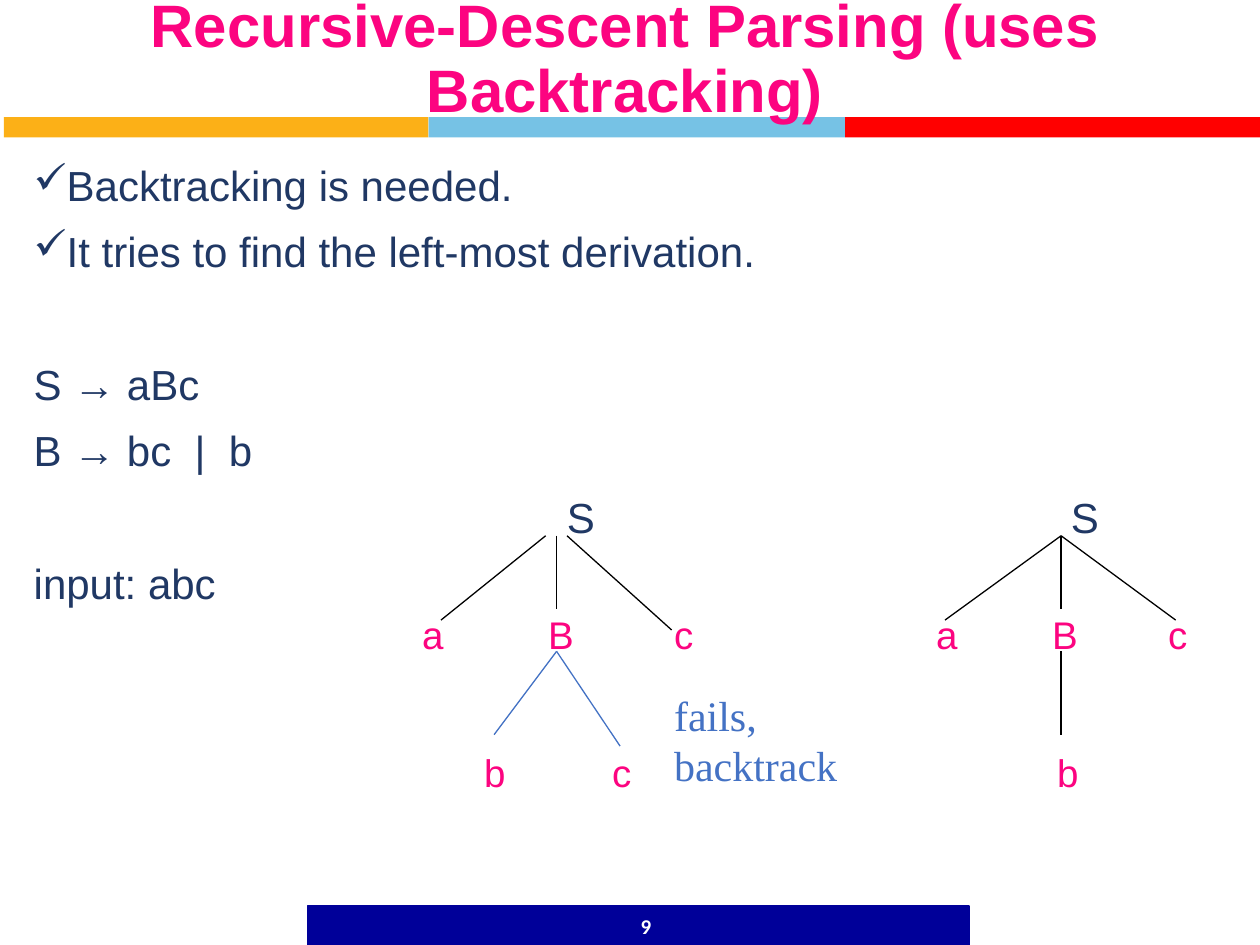
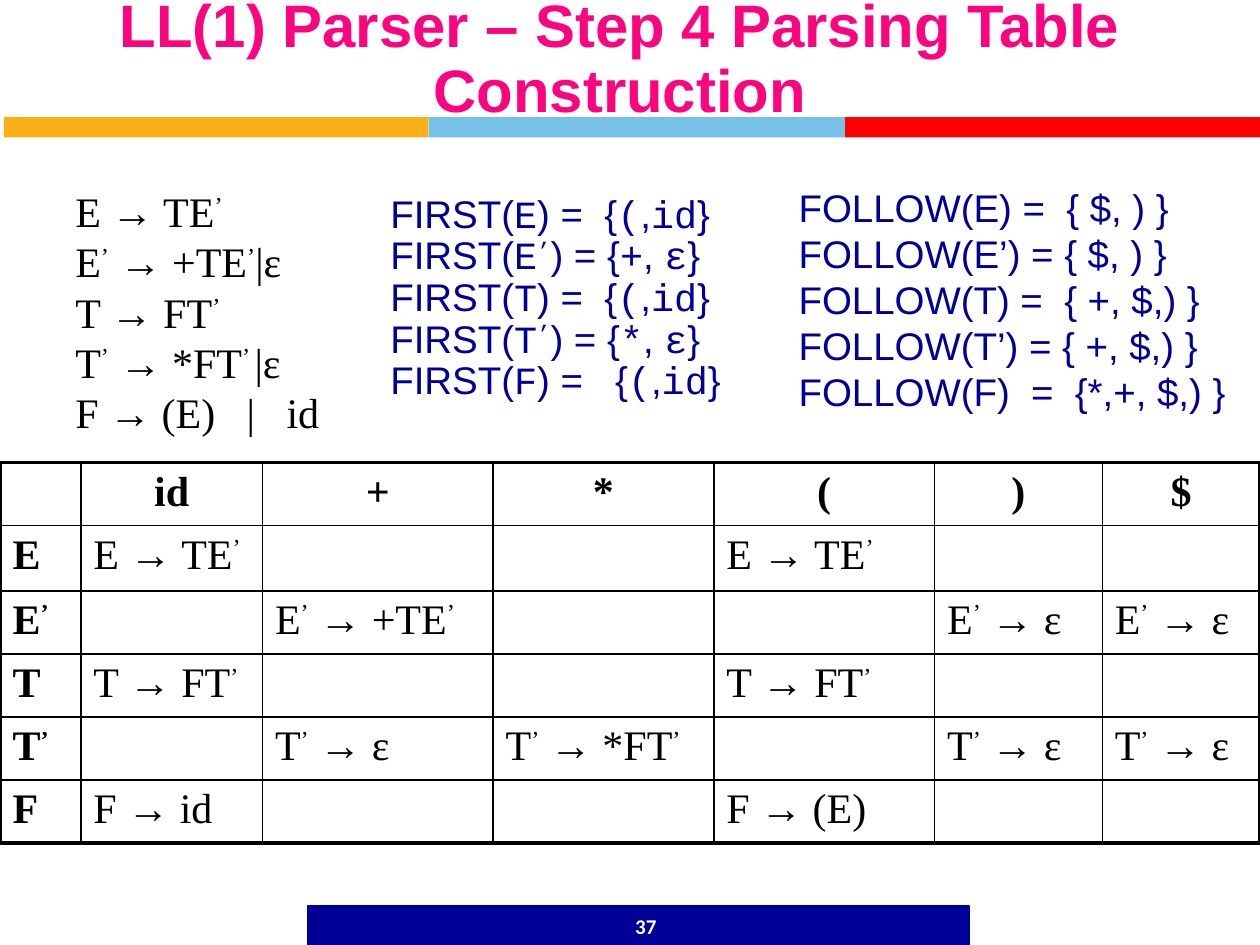
from dataclasses import dataclass
from lxml import etree
from pptx import Presentation
from pptx import util as u
from pptx.dml.color import RGBColor
from pptx.enum import shapes, text
from pptx.oxml.ns import qn

Cm, Pt = u.Cm, u.Pt
MID, JUST = text.PP_ALIGN.CENTER, text.PP_ALIGN.JUSTIFY


@dataclass(frozen=True)
class Theme:
    pink: str = "FC0480"
    navy: str = "000099"
    ink: str = "203864"
    blue: str = "4472C4"
    black: str = "000000"
    white: str = "FFFFFF"
    bands: tuple = ("FCB017", "76C2E5", "FF0000")
    sans: str = "Arial"
    serif: str = "Times New Roman"
    mono: str = "Courier New"
    foot: str = "Calibri"
    head: float = 34.2
    large: float = 24
    mid: float = 22
    small: float = 12


T = Theme()


def rgb(code):
    return RGBColor.from_string(code)


def sub(parent, tag, **attrs):
    return etree.SubElement(parent, qn(tag), attrs)


def write(frame, lines, size=T.large, font=T.sans, color=T.black, bold=False,
          align=None, lead=None, gap=None):
    """Fill a frame; ^ switches raised text on and off, ` switches code font."""
    for i, line in enumerate(lines):
        para = frame.paragraphs[0] if i == 0 else frame.add_paragraph()
        para.alignment, para.line_spacing = align, lead
        if gap is not None:
            para.space_before = para.space_after = Pt(gap)
        raised = code = False
        for part in line.replace("^", "\0^\0").replace("`", "\0`\0").split("\0"):
            if part == "^":
                raised = not raised
            elif part == "`":
                code = not code
            elif part:
                run = para.add_run()
                run.text = part
                look = run.font
                look.size, look.bold = Pt(size), bold
                look.name = T.mono if code else font
                look.color.rgb = rgb(color)
                if raised:
                    run._r.get_or_add_rPr().set("baseline", "30000")


class Deck:
    def __init__(self):
        self.prs = Presentation()
        self.prs.slide_width, self.prs.slide_height = Cm(25.4), Cm(19.05)
        self.slide = None

    def page(self, title, number, left):
        """Start a slide with its bands, footer and title."""
        self.slide = self.prs.slides.add_slide(self.prs.slide_layouts[6])
        edges = (0.08, 8.64, 17.04, 25.4)
        for start, end, color in zip(edges, edges[1:], T.bands):
            self.rect(start, 2.36, end - start, 0.41, color)
        self.rect(6.2, 18.26, 13.34, 0.79, T.navy, line=True)
        self.text([title], left, -0.2, 24.33, 1.7, size=T.head, color=T.pink,
                  bold=True, align=MID, lead=0.9)
        frame = self.text([number], 10.16, 18.16, 5.72, 1.02, size=T.small,
                          font=T.foot, color=T.white, bold=True, align=MID)
        frame.vertical_anchor = text.MSO_ANCHOR.MIDDLE

    def rect(self, x, y, w, h, color, line=False):
        box = self.slide.shapes.add_shape(
            shapes.MSO_SHAPE.RECTANGLE, Cm(x), Cm(y), Cm(w), Cm(h))
        box.shadow.inherit = False
        box.fill.solid()
        box.fill.fore_color.rgb = rgb(color)
        if line:
            box.line.color.rgb, box.line.width = rgb(color), Pt(1)
        else:
            box.line.fill.background()

    def text(self, lines, x, y, w, h, wrap=True, **style):
        box = self.slide.shapes.add_textbox(Cm(x), Cm(y), Cm(w), Cm(h))
        box.text_frame.word_wrap = wrap
        write(box.text_frame, lines, **style)
        return box.text_frame

    def label(self, word, x, y, **style):
        frame = self.text([word], x, y, 0.8, 1, wrap=False, **style)
        frame.margin_left = frame.margin_right = 0
        frame.margin_top = frame.margin_bottom = 0

    def line(self, start, end, color=T.black):
        rule = self.slide.shapes.add_connector(
            shapes.MSO_CONNECTOR.STRAIGHT, *map(Cm, start + end))
        rule.line.color.rgb, rule.line.width = rgb(color), Pt(0.75)
        sub(rule._element.spPr, "a:effectLst")

    def bullet(self, para, mark):
        props = para._p.get_or_add_pPr()
        props.set("marL", str(Cm(0.64)))
        props.set("indent", str(-Cm(0.64)))
        sub(props, "a:buChar", char=mark)

    def border(self, cell, sides):
        props = cell._tc.get_or_add_tcPr()
        for side, outer in zip("LRTB", sides):
            edge = sub(props, f"a:ln{side}", w=str(Pt(2.25 if outer else 1)))
            sub(sub(edge, "a:solidFill"), "a:srgbClr", val=T.black)

    def table(self, rows, x, y, widths, heights):
        nr, nc = len(rows), len(widths)
        grid = self.slide.shapes.add_table(
            nr, nc, Cm(x), Cm(y), Cm(sum(widths)), Cm(sum(heights))).table
        grid.first_row = grid.horz_banding = False
        for col, width in zip(grid.columns, widths):
            col.width = Cm(width)
        for row, height in zip(grid.rows, heights):
            row.height = Cm(height)
        for r, row in enumerate(rows):
            for c, word in enumerate(row):
                cell = grid.cell(r, c)
                self.border(cell, (c == 0, c == nc - 1, r == 0, r == nr - 1))
                cell.fill.background()
                write(cell.text_frame, [word], font=T.serif,
                      bold=r == 0 or c == 0, align=None if r else MID)


def descent(deck):
    deck.page("Recursive-Descent Parsing (uses Backtracking)", "9", 0.43)

    # Notes and grammar
    frame = deck.text(
        ["Backtracking is needed.", "It tries to find the left-most derivation.",
         "S → aBc", "B → bc  |  b", "input: abc"],
        0.43, 3.2, 24.33, 13.94, color=T.ink, align=JUST, lead=0.9, gap=6)
    paras = frame.paragraphs
    for para in paras[:2]:
        deck.bullet(para, "✓")
    for para in (paras[2], paras[4]):
        para.space_before = Pt(44)

    # Branches of both trees
    top, knee = 10.8, 13.13
    for start, end in (((11, top), (8.89, 12.5)), ((11.43, top), (13.54, 12.7)),
                       ((11.22, top), (11.22, 12.27)),
                       ((21.39, top), (19.05, 12.5)), ((21.39, top), (23.7, 12.5)),
                       ((21.39, top), (21.39, 12.27)),
                       ((21.39, knee), (21.39, 14.81))):
        deck.line(start, end)
    for end in ((9.96, 14.81), (12.5, 15.04)):
        deck.line((11.22, knee), end, T.blue)

    # Nodes of both trees, level by level
    for x in (11.43, 21.59):
        deck.label("S", x, 9.91, color=T.ink)
    levels = ((12.32, "aBcaBc", (8.51, 11.05, 13.59, 18.87, 21.21, 23.55)),
              (15.11, "bcb", (9.76, 12.34, 21.31)))
    for y, names, places in levels:
        for name, x in zip(names, places):
            deck.label(name, x, y, size=T.mid, color=T.pink)
    deck.text(["fails, backtrack"], 13.34, 13.77, 5.66, 1.27, wrap=False,
              font=T.serif, color=T.blue)


def parser(deck):
    deck.page("LL(1) Parser – Step 4 Parsing Table Construction", "37", 0.33)

    # Grammar
    deck.text(["E → TE^’^", "E^’^ → +TE^’^|ε", "T → FT^’^",
               "T^’^ → *FT^’ ^|ε", "F → (E)   |   id"],
              1.27, 3.61, 5.64, 5.38, wrap=False, font=T.serif)

    # Parsing table
    ete, tft = "E → TE^’^", "T → FT^’^"
    enil, tnil = "E^’^ → ε", "T^’^ → ε"
    rows = [["", "id", "+", "*", "(", ")", "$"],
            ["E", ete, "", "", ete, "", ""],
            ["E^’^", "", "E^’^ → +TE^’^", "", "", enil, enil],
            ["T", tft, "", "", tft, "", ""],
            ["T^’^", "", tnil, "T^’^ → *FT^’^", "", tnil, tnil],
            ["F", "F → id", "", "", "F → (E)", "", ""]]
    deck.table(rows, 0, 9.32, (1.63, 3.66, 4.65, 4.45, 4.45, 3.38, 3.18),
               (1.27, 1.32, 1.27, 1.27, 1.27, 1.27))

    # First and follow sets
    style = dict(size=T.mid, color=T.navy)
    deck.text(["FIRST(`E`) =  {`(`,`id`}", "FIRST(`E^’^`) = {`+`, `ε`}",
               "FIRST(`T`) =  {`(`,`id`}", "FIRST(`T^’^`) = {`*`, `ε`}",
               "FIRST(`F`) =   {`(`,`id`}"],
              7.62, 3.81, 11.23, 4.52, lead=0.9, **style)
    deck.text(["FOLLOW(E) =  { $, ) }", "FOLLOW(E’) = { $, ) }",
               "FOLLOW(T) =  { +, $,) }", "FOLLOW(T’) = { +, $,) }",
               "FOLLOW(F)  =  {*,+, $,) }"],
              15.85, 3.58, 9.5, 4.95, **style)


def main():
    deck = Deck()
    descent(deck)
    parser(deck)
    deck.prs.save("out.pptx")


if __name__ == "__main__":
    main()
